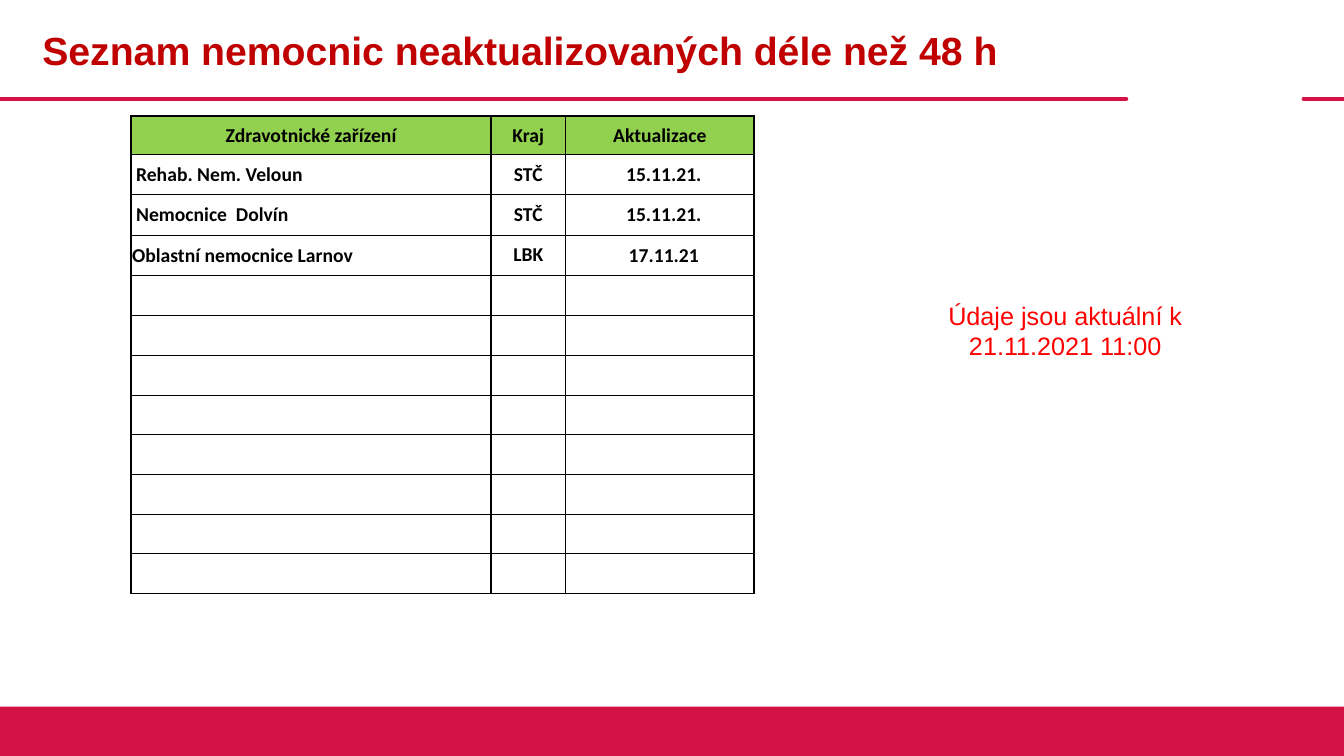
from typing import NamedTuple

from pptx import Presentation
from pptx.dml.color import RGBColor
from pptx.enum import shapes, text
from pptx.oxml import parse_xml
from pptx.oxml.ns import nsdecls
from pptx.util import Inches, Pt

RED = "D31145"
ROWS = 12


class Column(NamedTuple):
    head: str
    width: float
    align: text.PP_ALIGN
    insets: tuple[float, float, float, float]  # left, top, right, bottom
    items: tuple[str, ...]


MID = text.PP_ALIGN.CENTER
HEAD_INSETS = (0.01, 0.01, 0.01, 0)
COLUMNS = (
    Column("Zdravotnické zařízení", 3.57, text.PP_ALIGN.LEFT, HEAD_INSETS,
           ("Rehab. Nem. Veloun", "Nemocnice  Dolvín", "Oblastní nemocnice Larnov")),
    Column("Kraj", 0.74, MID, (0.01, 0.08, 0.01, 0.08), ("STČ", "STČ", "LBK")),
    Column("Aktualizace", 1.87, MID, (0.09, 0.01, 0.01, 0),
           ("15.11.21.", "15.11.21.", "17.11.21")),
)
INDENTED = COLUMNS[0].items[:2]


def color(code: str) -> RGBColor:
    return RGBColor.from_string(code)


def style(par, size: float, name: str, code: str, bold: bool = False) -> None:
    font = par.font
    font.size, font.name, font.bold = Pt(size), name, bold
    font.color.rgb = color(code)


def add_rule(slide, left: float, right: float) -> None:
    """Draw one red piece of the line under the title."""
    y = Inches(0.98)
    rule = slide.shapes.add_connector(
        shapes.MSO_CONNECTOR.STRAIGHT, Inches(left), y, Inches(right), y)
    rule.line.color.rgb = color(RED)
    rule.line.width = Pt(3)
    props = rule._element.spPr
    props.find(".//{*}ln").set("cap", "rnd")
    props.append(parse_xml(f"<a:effectLst {nsdecls('a')}/>"))


def add_borders(cell, top: float, bottom: float) -> None:
    props = cell._tc.get_or_add_tcPr()
    sides = (("L", 1), ("R", 1), ("T", top), ("B", bottom))
    for spot, (side, width) in enumerate(sides):
        props.insert(spot, parse_xml(
            f'<a:ln{side} {nsdecls("a")} w="{Pt(width)}"><a:solidFill>'
            f'<a:srgbClr val="000000"/></a:solidFill></a:ln{side}>'))


def fill_cell(cell, col: Column, row: int) -> None:
    words = (col.head, *col.items)
    label = words[row] if row < len(words) else ""
    left, top, right, bottom = HEAD_INSETS if row == 0 else col.insets
    if label in INDENTED:
        left = 0.05
    cell.margin_left, cell.margin_top = Inches(left), Inches(top)
    cell.margin_right, cell.margin_bottom = Inches(right), Inches(bottom)
    cell.vertical_anchor = text.MSO_ANCHOR.MIDDLE
    cell.fill.solid()
    cell.fill.fore_color.rgb = color("92D050" if row == 0 else "FFFFFF")
    add_borders(cell, 1 if row < 2 else 0.5, 1 if row in (0, ROWS - 1) else 0.5)
    par = cell.text_frame.paragraphs[0]
    par.text = label
    par.alignment = MID if row == 0 else col.align
    style(par, 14, "Calibri", "000000", True)


def add_list(slide) -> None:
    """Draw the table of hospitals."""
    table = slide.shapes.add_table(
        ROWS, len(COLUMNS), Inches(1.3), Inches(1.15), Inches(6.18), Inches(4.67)).table
    table.horz_banding = False
    for row, line in enumerate(table.rows):
        line.height = Inches(0.4 if 1 <= row <= 4 else 0.38)
    for spot, col in enumerate(COLUMNS):
        table.columns[spot].width = Inches(col.width)
        for row in range(ROWS):
            fill_cell(table.cell(row, spot), col, row)


def add_title(slide) -> None:
    title = slide.shapes.title
    title.left, title.top = Inches(0.32), Inches(0.26)
    title.width, title.height = Inches(10.81), Inches(0.98)
    frame = title.text_frame
    frame.text = "Seznam nemocnic neaktualizovaných déle než 48 h"
    frame.vertical_anchor = text.MSO_ANCHOR.TOP
    frame.auto_size = text.MSO_AUTO_SIZE.NONE
    par = frame.paragraphs[0]
    par.alignment = text.PP_ALIGN.LEFT
    par.line_spacing = 0.9
    style(par, 28, "Arial", "C00000", True)


def add_note(slide) -> None:
    box = slide.shapes.add_textbox(Inches(9.29), Inches(2.93), Inches(2.55), Inches(0.71))
    frame = box.text_frame
    frame.word_wrap = True
    frame.auto_size = text.MSO_AUTO_SIZE.SHAPE_TO_FIT_TEXT
    par = frame.paragraphs[0]
    par.text = "Údaje jsou aktuální k 21.11.2021 11:00"
    par.alignment = MID
    style(par, 18, "Arial", "FF0000")


def add_band(slide) -> None:
    band = slide.shapes.add_shape(
        shapes.MSO_SHAPE.RECTANGLE, 0, Inches(7.01), Inches(13.33), Inches(0.49))
    band.shadow.inherit = False
    band.fill.solid()
    band.fill.fore_color.rgb = color(RED)
    band.line.fill.background()


def main() -> None:
    deck = Presentation()
    deck.slide_width, deck.slide_height = Inches(13.33), Inches(7.5)
    slide = deck.slides.add_slide(deck.slide_layouts[5])
    for left, right in ((0, 11.17), (12.93, 13.33)):
        add_rule(slide, left, right)
    add_band(slide)
    add_title(slide)
    add_note(slide)
    add_list(slide)
    deck.save("out.pptx")


if __name__ == "__main__":
    main()
